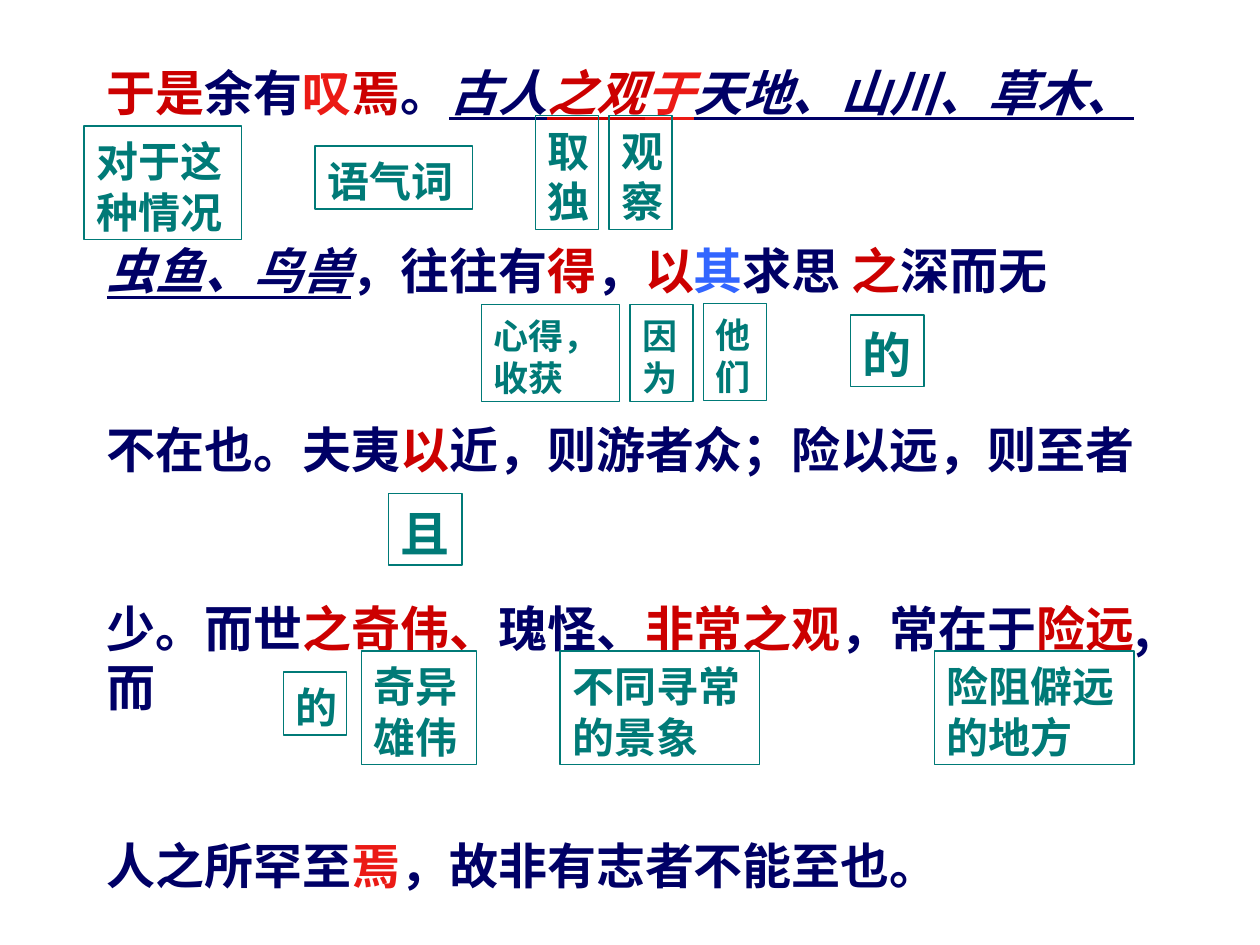
from pptx import Presentation
from pptx.dml.color import RGBColor
from pptx.enum.shapes import MSO_SHAPE
from pptx.enum.text import MSO_ANCHOR, PP_ALIGN
from pptx.oxml.ns import qn
from pptx.util import Pt
from lxml.etree import SubElement

NAVY, RED, BRIGHT, BLUE, TEAL = "000066", "CC0000", "EB1A15", "3366FF", "007A77"
HAN, LATIN = "Noto Sans CJK SC", "Times New Roman"
QUOTE = {"italic": True, "line": True}

PASSAGE = [
    [("于是", RED), ("余有", NAVY), ("叹", BRIGHT), ("焉", RED), ("。", NAVY),
     ("古人", NAVY, QUOTE), ("之观", RED, QUOTE), ("于", BRIGHT, QUOTE),
     ("天地、山川、草木、", NAVY, QUOTE)],
    [("虫鱼、鸟兽", NAVY, QUOTE), ("，往往有", NAVY), ("得", RED), ("，", NAVY),
     ("以", RED), ("其", BLUE), ("求思 ", NAVY), ("之", RED), ("深而无", NAVY)],
    [("不在也。夫夷", NAVY), ("以", RED), ("近，则游者众；险以远，则至者", NAVY)],
    [("少。而世", NAVY), ("之奇伟、", RED), ("瑰怪、", NAVY), ("非常之观", RED),
     ("，常在于", NAVY), ("险远", RED), (",而", NAVY)],
    [("人之所罕至", NAVY), ("焉", BRIGHT), ("，故非有志者不能至也。", NAVY)],
]

# text, left, top, width, height, size
NOTES = [
    ("对于这种情况", 48, 72, 90, 65, 24),
    ("语气词", 180, 83.5, 90, 36, 24),
    ("取独", 306, 66, 36, 65, 24),
    ("观察", 348, 66, 36, 65, 24),
    ("心得，收获", 275, 174, 79, 55.5, 20),
    ("因为", 360, 174, 36, 55.5, 20),
    ("他们", 402, 173.5, 36, 55.5, 20),
    ("的", 486, 180, 42, 41, 28),
    ("且", 222, 282, 42, 41, 28),
    ("的", 162, 384, 36, 36, 24),
    ("奇异雄伟", 206.5, 372, 66, 65, 24),
    ("不同寻常的景象", 320, 372, 114, 65, 24),
    ("险阻僻远的地方", 534, 372, 114, 65, 24),
]


def tint(code):
    return RGBColor.from_string(code)


def write(para, text, color=NAVY, size=28, face=LATIN, italic=False, line=False):
    run = para.add_run()
    run.text = text
    font = run.font
    font.name, font.size, font.bold = face, Pt(size), True
    font.italic, font.underline = italic, line
    font.color.rgb = tint(color)
    SubElement(font._element, qn("a:ea")).set("typeface", HAN)


class Page:
    def __init__(self, slide, edge=0.75, lead=1.2):
        self.slide, self.edge, self.lead = slide, edge, lead

    def frame(self, shape):
        """Set wrapping and insets, with the text starting at the top."""
        body = shape.text_frame
        body.word_wrap = True
        body.vertical_anchor = MSO_ANCHOR.TOP
        body.margin_left = body.margin_right = Pt(7.2)
        body.margin_top, body.margin_bottom = Pt(5.6), Pt(1.6)
        return body

    def space(self, para, size, before=0):
        para.alignment = PP_ALIGN.LEFT
        para.line_spacing = Pt(size * self.lead)
        para.space_before = Pt(before)

    def passage(self, lines, left, top, width, height, size=28, gap=68.5):
        box = self.slide.shapes.add_textbox(Pt(left), Pt(top), Pt(width), Pt(height))
        body = self.frame(box)
        for i, parts in enumerate(lines):
            para = body.add_paragraph() if i else body.paragraphs[0]
            self.space(para, size, gap if i else 0)
            for text, color, *style in parts:
                write(para, text, color, size, HAN, **(style[0] if style else {}))

    def note(self, text, left, top, width, height, size):
        box = self.slide.shapes.add_shape(
            MSO_SHAPE.RECTANGLE, Pt(left), Pt(top), Pt(width), Pt(height))
        box.shadow.inherit = False
        box.fill.background()
        box.line.color.rgb = tint(TEAL)
        box.line.width = Pt(self.edge)
        para = self.frame(box).paragraphs[0]
        self.space(para, size)
        write(para, text, TEAL, size)


def main():
    deck = Presentation()
    deck.slide_width, deck.slide_height = Pt(720), Pt(540)
    page = Page(deck.slides.add_slide(deck.slide_layouts[6]))
    page.passage(PASSAGE, 54, 30, 612, 484)
    for note in NOTES:
        page.note(*note)
    deck.save("out.pptx")


if __name__ == "__main__":
    main()
